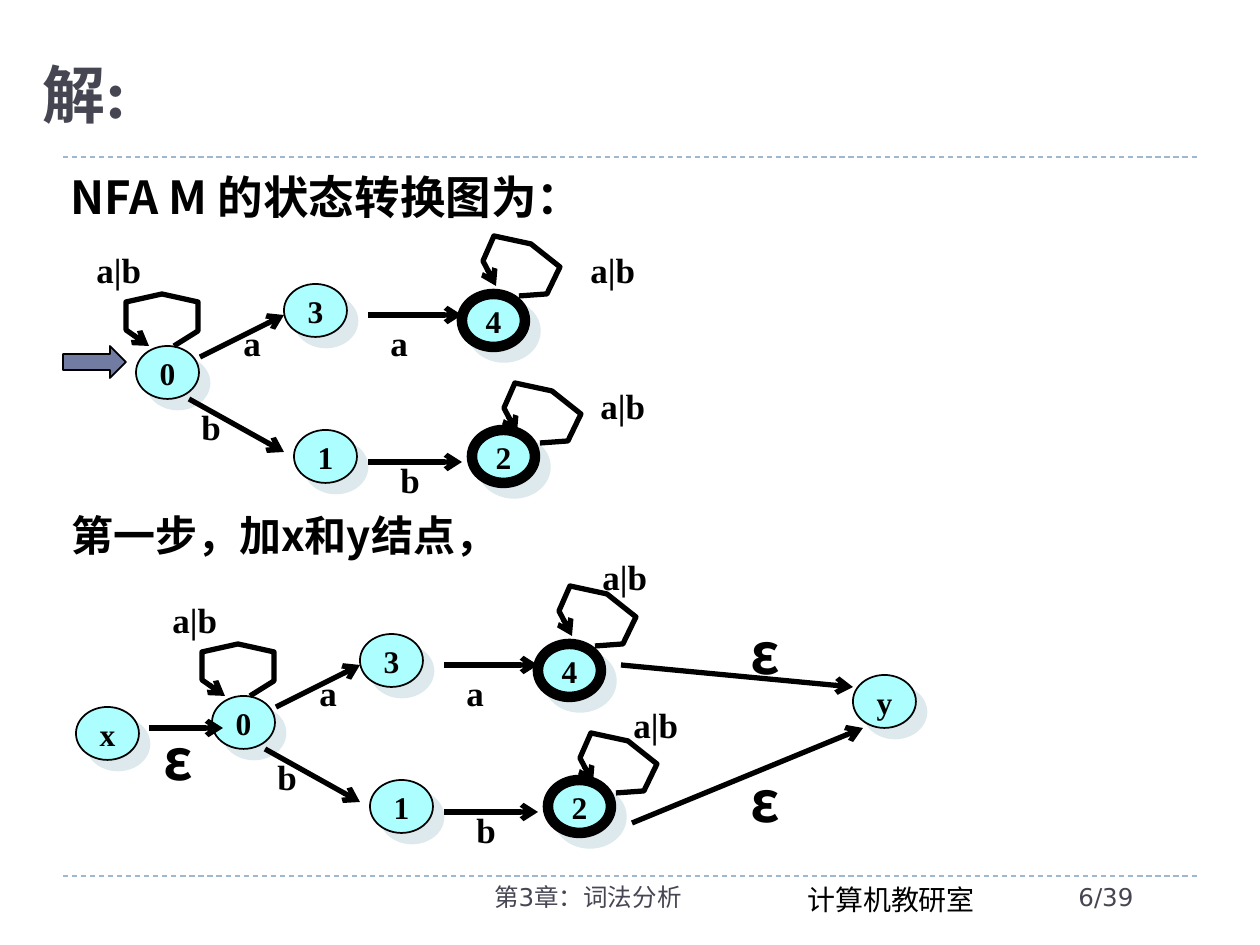
from lxml import etree
from pptx import Presentation
from pptx.dml.color import RGBColor
from pptx.enum.dml import MSO_LINE
from pptx.enum.shapes import MSO_CONNECTOR, MSO_SHAPE
from pptx.enum.text import MSO_ANCHOR, PP_ALIGN
from pptx.oxml.ns import qn
from pptx.util import Emu, Pt

STRAIGHT = MSO_CONNECTOR.STRAIGHT
OVAL, RIGHT_ARROW = MSO_SHAPE.OVAL, MSO_SHAPE.RIGHT_ARROW
DASH = MSO_LINE.DASH
LEFT, CENTER = PP_ALIGN.LEFT, PP_ALIGN.CENTER
TOP, MIDDLE, BOTTOM = MSO_ANCHOR.TOP, MSO_ANCHOR.MIDDLE, MSO_ANCHOR.BOTTOM

PX = 914400 / 126
SERIF, SANS, CJK = "Times New Roman", "DejaVu Sans", "Noto Sans CJK SC"
BLACK, GREY, NODE_FILL, NODE_SHADOW = "000000", "464653", "ADFFFF", "DDE9EC"
NODE_SIZE = (63, 53)

# One automaton, relative to its own corner
STATES = [("0", 136, 346, False), ("2", 472, 430, True), ("3", 284, 284, False),
          ("4", 462, 294, True), ("1", 294, 430, False)]
EDGES = [(200, 357, 284, 315), (189, 399, 284, 452),
         (368, 315, 462, 315), (368, 462, 462, 462)]
EDGE_LABELS = [("a|b", 84, 242), ("a", 231, 315), ("b", 189, 399),
               ("a", 378, 315), ("b", 388, 452)]
START_LOOP = [(174, 346), (198, 331), (198, 302), (162, 294),
              (126, 302), (126, 330), (149, 346)]
FINAL_LOOP = [(519, 296), (547, 294), (560, 267), (531, 244),
              (494, 236), (483, 261), (496, 286)]
LOOPS = [(START_LOOP, 0, 0), (FINAL_LOOP, 0, 0), (FINAL_LOOP, 21, 147)]


def px(*lengths):
    return [Emu(round(length * PX)) for length in lengths]


def color(value):
    return RGBColor.from_string(value)


def write(frame, text, size=20, font=SERIF, ink=BLACK, bold=True,
          align=LEFT, anchor=TOP, wrap=True, before=0):
    frame.word_wrap = wrap
    frame.vertical_anchor = anchor
    para = frame.paragraphs[0]
    para.alignment = align
    para.space_before = Pt(before)
    span = para.add_run()
    span.text = text
    span.font.size = Pt(size)
    span.font.bold = bold
    span.font.name = font
    span.font.color.rgb = color(ink)
    east_asian = etree.SubElement(span.font._element, qn("a:ea"))
    east_asian.set("typeface", CJK)


def add_text(page, text, left, top, width, height, **form):
    box = page.shapes.add_textbox(*px(left, top, width, height))
    write(box.text_frame, text, **form)


def add_label(page, text, left, top):
    width = 73 if len(text) > 1 else 53
    add_text(page, text, left, top, width, 54, before=12.5)


def add_epsilon(page, left, top):
    add_text(page, "ε", left, top, 57, 79, size=32, font=CJK)


def outline(shape, width, ink=BLACK):
    shape.line.color.rgb = color(ink)
    shape.line.width = Pt(width)


def add_arrowhead(shape):
    line = shape._element.spPr.find(qn("a:ln"))
    etree.SubElement(line, qn("a:tailEnd")).set("type", "arrow")


def add_line(page, x1, y1, x2, y2, width=3, ink=BLACK, arrow=True):
    line = page.shapes.add_connector(STRAIGHT, *px(x1, y1, x2, y2))
    outline(line, width, ink)
    if arrow:
        add_arrowhead(line)
    else:
        line.line.dash_style = DASH
    etree.SubElement(line._element.spPr, qn("a:effectLst"))


def add_shape(page, kind, left, top, width, height, fill, line_width=1):
    shape = page.shapes.add_shape(kind, *px(left, top, width, height))
    shape.shadow.inherit = False
    shape.fill.solid()
    shape.fill.fore_color.rgb = color(fill)
    outline(shape, line_width)
    return shape


def add_node(page, name, left, top, final=False):
    node = add_shape(page, OVAL, left, top, *NODE_SIZE, NODE_FILL, 6 if final else 1)
    write(node.text_frame, name, size=18, align=CENTER, anchor=MIDDLE, wrap=False)
    effects = node._element.spPr.find(qn("a:effectLst"))
    shadow = etree.SubElement(effects, qn("a:outerShdw"), blurRad="0",
                              dist=str(Pt(8.5)), dir="2700000",
                              algn="ctr", rotWithShape="0")
    etree.SubElement(shadow, qn("a:srgbClr")).set("val", NODE_SHADOW)


def add_loop(page, points, dx, dy):
    first, *rest = [(x + dx, y + dy) for x, y in points]
    builder = page.shapes.build_freeform(*first, scale=PX)
    builder.add_line_segments(rest, close=False)
    loop = builder.convert_to_shape()
    loop.shadow.inherit = False
    loop.fill.background()
    outline(loop, 3)
    add_arrowhead(loop)


def add_automaton(page, dx, dy, final_labels):
    for name, x, y, final in STATES:
        add_node(page, name, x + dx, y + dy, final)
    for x1, y1, x2, y2 in EDGES:
        add_line(page, x1 + dx, y1 + dy, x2 + dx, y2 + dy)
    for points, x, y in LOOPS:
        add_loop(page, points, x + dx, y + dy)
    for text, x, y in EDGE_LABELS:
        add_label(page, text, x + dx, y + dy)
    for x, y in final_labels:
        add_label(page, "a|b", x, y)


def add_frame(page):
    for y in (876, 157):
        add_line(page, 63, y, 1197, y, width=0.75, ink="9FB8CD", arrow=False)
    add_text(page, "计算机教研室", 795, 876, 209, 47, size=16, bold=False)
    footer = dict(size=14, font=SANS, ink=GREY, bold=False)
    add_text(page, "第3章：词法分析", 399, 876, 378, 50, align=CENTER, **footer)
    add_text(page, "6/39", 1066, 876, 145, 50, **footer)


def main():
    deck = Presentation()
    deck.slide_width, deck.slide_height = px(1260, 945)
    page = deck.slides.add_slide(deck.slide_layouts[6])

    # Rules, footer and headings
    add_frame(page)
    add_text(page, "解:", 30, 35, 1007, 102, size=36, font="TeX Gyre Bonum",
             ink=GREY, anchor=BOTTOM)
    add_text(page, "NFA M 的状态转换图为：", 58, 163, 926, 84,
             size=26, font=CJK, before=6)
    add_text(page, "第一步，加x和y结点，", 59, 503, 935, 84,
             size=24, font=CJK, before=6)

    # The given NFA with its start arrow
    add_automaton(page, 0, 0, [(578, 242), (588, 378)])
    add_shape(page, RIGHT_ARROW, 63, 346, 63, 32, "727CA3")

    # The NFA extended by x and y
    add_automaton(page, 76, 350, [(590, 549), (621, 697)])
    add_node(page, "x", 76, 707)
    add_node(page, "y", 853, 675)
    for edge in [(149, 728, 223, 728), (621, 665, 853, 687), (632, 823, 863, 728)]:
        add_line(page, *edge)
    for left, top in [(151, 718), (738, 612), (738, 760)]:
        add_epsilon(page, left, top)

    deck.save("out.pptx")


if __name__ == "__main__":
    main()
